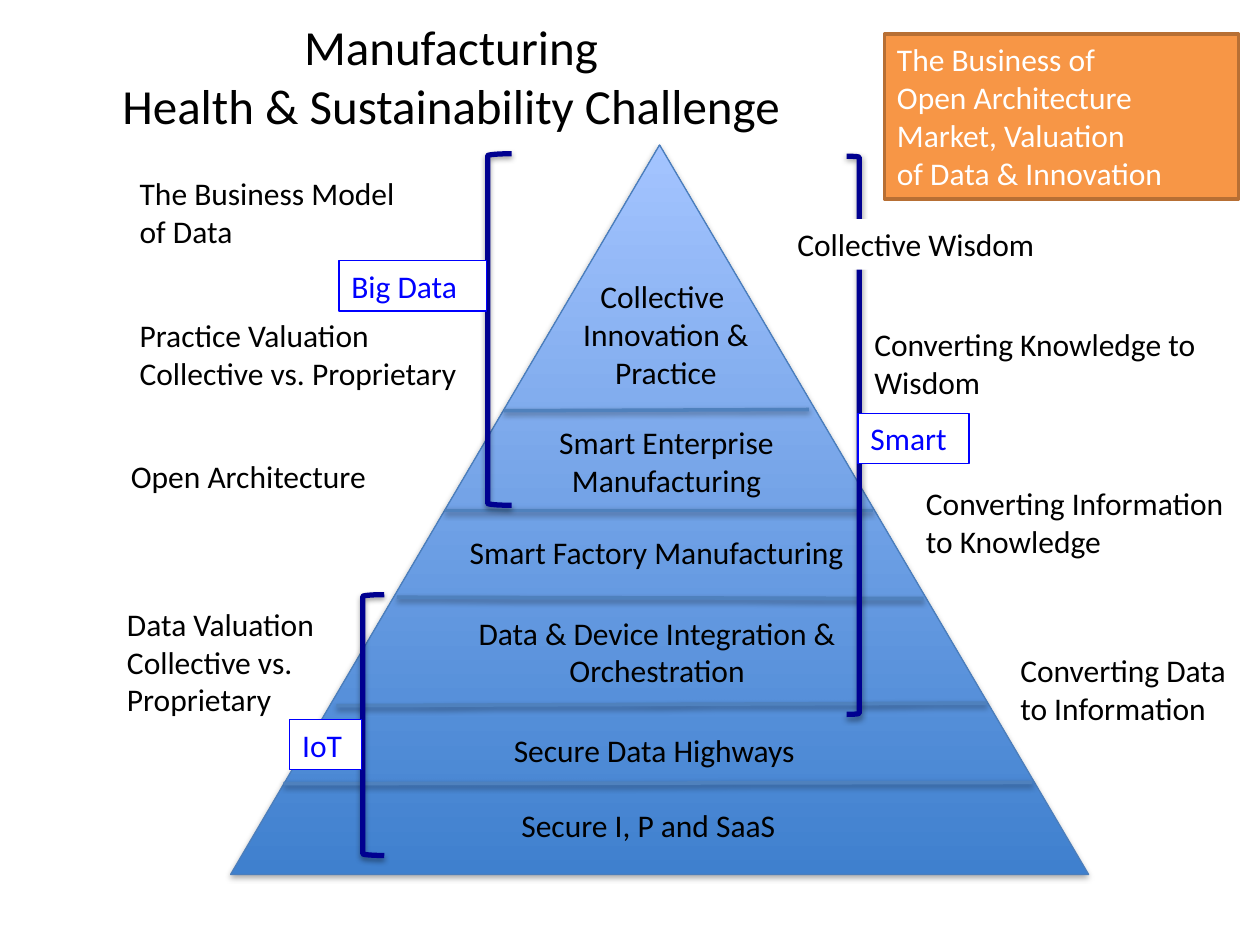
from dataclasses import dataclass
from typing import NamedTuple, Optional

from pptx import Presentation
from pptx.dml.color import RGBColor
from pptx.enum.shapes import MSO_CONNECTOR, MSO_SHAPE
from pptx.enum.text import MSO_ANCHOR, MSO_AUTO_SIZE, PP_ALIGN
from pptx.oxml import parse_xml
from pptx.oxml.ns import nsdecls
from pptx.util import Emu, Pt

PX = 914400 // 100
TITLE_ONLY = 5
LEFT, CENTER = PP_ALIGN.LEFT, PP_ALIGN.CENTER
TOP = MSO_ANCHOR.TOP
FIT_SHAPE = MSO_AUTO_SIZE.SHAPE_TO_FIT_TEXT
TRIANGLE, BRACKET = MSO_SHAPE.ISOSCELES_TRIANGLE, MSO_SHAPE.LEFT_BRACKET
STRAIGHT = MSO_CONNECTOR.STRAIGHT


@dataclass(frozen=True)
class Theme:
    font: str = "Calibri"
    title: int = 28
    body: int = 18
    black: str = "000000"
    white: str = "FFFFFF"
    blue: str = "0000FF"
    navy: str = "000090"
    divider: str = "4F81BD"
    edge: str = "4B7EBC"
    base: str = "3F80CE"
    peak: str = "A4C4FF"
    orange: str = "F79646"
    brown: str = "B76F34"


THEME = Theme()


class Box(NamedTuple):
    x: int
    y: int
    w: int
    h: int


@dataclass(frozen=True)
class Label:
    box: Box
    text: str
    align: PP_ALIGN = LEFT
    wrap: bool = False
    color: str = THEME.black
    fill: Optional[str] = None
    line: Optional[str] = None
    width: float = 0.75


class Bracket(NamedTuple):
    box: Box
    flipped: bool = False


class Divider(NamedTuple):
    x1: int
    y1: int
    x2: int
    y2: int


def tag(x: int, y: int, w: int, text: str) -> Label:
    return Label(Box(x, y, w, 40), text, color=THEME.blue,
                 fill=THEME.white, line=THEME.blue)


PYRAMID = Box(183, 115, 681, 579)
TITLE = Label(Box(58, 8, 600, 104),
              "Manufacturing\nHealth & Sustainability Challenge", CENTER, True)

LEVELS = [
    Label(Box(404, 635, 263, 40), "Secure I, P and SaaS"),
    Label(Box(398, 575, 277, 40), "Secure Data Highways"),
    Label(Box(368, 482, 307, 71), "Data & Device Integration &\nOrchestration", CENTER),
    Label(Box(363, 418, 346, 40), "Smart Factory Manufacturing"),
    Label(Box(424, 331, 210, 71), "Smart Enterprise\nManufacturing", CENTER),
    Label(Box(448, 215, 161, 101), "Collective \nInnovation &\nPractice", CENTER),
]

DIVIDERS = [
    Divider(225, 622, 819, 621),
    Divider(267, 560, 783, 558),
    Divider(315, 474, 733, 475),
    Divider(353, 405, 693, 405),
    Divider(400, 326, 642, 325),
]

SIDE_NOTES = [
    Label(Box(800, 512, 203, 71), "Converting Data\nto Information"),
    Label(Box(725, 379, 261, 71), "Converting Information\nto Knowledge", wrap=True),
    Label(Box(684, 253, 302, 71), "Converting Knowledge to\nWisdom"),
    Label(Box(94, 358, 222, 40), "Open Architecture"),
    Label(Box(91, 475, 184, 101), "Data Valuation\nCollective vs.\nProprietary"),
    Label(Box(101, 246, 299, 71), "Practice Valuation\nCollective vs. Proprietary"),
    Label(Box(101, 133, 249, 71), "The Business Model\nof Data"),
]

BRACKETS = [
    Bracket(Box(288, 472, 17, 207)),
    Bracket(Box(672, 124, 10, 443), flipped=True),
    Bracket(Box(387, 122, 19, 279)),
]

TAGS = [
    tag(230, 571, 57, "IoT"),
    tag(269, 207, 117, "Big Data"),
    tag(681, 328, 88, "Smart"),
    Label(Box(623, 174, 228, 40), "Collective Wisdom", fill=THEME.white),
    Label(Box(702, 27, 281, 131),
          "The Business of\nOpen Architecture Market, Valuation\nof Data & Innovation",
          wrap=True, color=THEME.white, fill=THEME.orange, line=THEME.brown, width=2),
]


def rgb(color: str) -> RGBColor:
    return RGBColor.from_string(color)


def px(values: tuple) -> list:
    return [Emu(v * PX) for v in values]


def set_line(shape, color: str, width: float) -> None:
    shape.line.color.rgb = rgb(color)
    shape.line.width = Pt(width)


def add_shadow(shape, alpha: int, distance: int) -> None:
    shape._element.spPr.append(parse_xml(
        f'<a:effectLst {nsdecls("a")}><a:outerShdw blurRad="40000" dist="{distance}" '
        f'dir="5400000" rotWithShape="0"><a:srgbClr val="{THEME.black}">'
        f'<a:alpha val="{alpha * 1000}"/></a:srgbClr></a:outerShdw></a:effectLst>'))


def write_text(shape, label: Label, size: int) -> None:
    tf = shape.text_frame
    tf.text = label.text
    tf.word_wrap = label.wrap
    tf.auto_size = FIT_SHAPE
    tf.vertical_anchor = TOP
    for p in tf.paragraphs:
        p.alignment = label.align
        for r in p.runs:
            r.font.name = THEME.font
            r.font.size = Pt(size)
            r.font.color.rgb = rgb(label.color)


def draw_title(s, label: Label) -> None:
    sp = s.shapes.title
    sp.left, sp.top, sp.width, sp.height = px(label.box)
    write_text(sp, label, THEME.title)


def draw_pyramid(s, box: Box) -> None:
    sp = s.shapes.add_shape(TRIANGLE, *px(box))
    sp.fill.gradient()
    sp.fill.gradient_angle = 90
    for stop, color in zip(sp.fill.gradient_stops, (THEME.base, THEME.peak)):
        stop.color.rgb = rgb(color)
    set_line(sp, THEME.edge, 0.75)
    add_shadow(sp, 35, 23000)


def draw_label(s, label: Label) -> None:
    sp = s.shapes.add_textbox(*px(label.box))
    if label.fill:
        sp.fill.solid()
        sp.fill.fore_color.rgb = rgb(label.fill)
    if label.line:
        set_line(sp, label.line, label.width)
    write_text(sp, label, THEME.body)


def draw_divider(s, divider: Divider) -> None:
    line = s.shapes.add_connector(STRAIGHT, *px(divider))
    set_line(line, THEME.divider, 2)
    add_shadow(line, 38, 20000)


def draw_bracket(s, bracket: Bracket) -> None:
    sp = s.shapes.add_shape(BRACKET, *px(bracket.box))
    sp.fill.background()
    set_line(sp, THEME.navy, 3)
    add_shadow(sp, 38, 20000)
    if bracket.flipped:
        sp._element.spPr.xfrm.set("flipH", "1")


def main() -> None:
    prs = Presentation()
    prs.slide_width, prs.slide_height = px((1000, 750))
    s = prs.slides.add_slide(prs.slide_layouts[TITLE_ONLY])
    draw_title(s, TITLE)
    draw_pyramid(s, PYRAMID)
    for draw, items in ((draw_label, LEVELS), (draw_divider, DIVIDERS),
                        (draw_label, SIDE_NOTES), (draw_bracket, BRACKETS),
                        (draw_label, TAGS)):
        for item in items:
            draw(s, item)
    prs.save("out.pptx")


if __name__ == "__main__":
    main()
